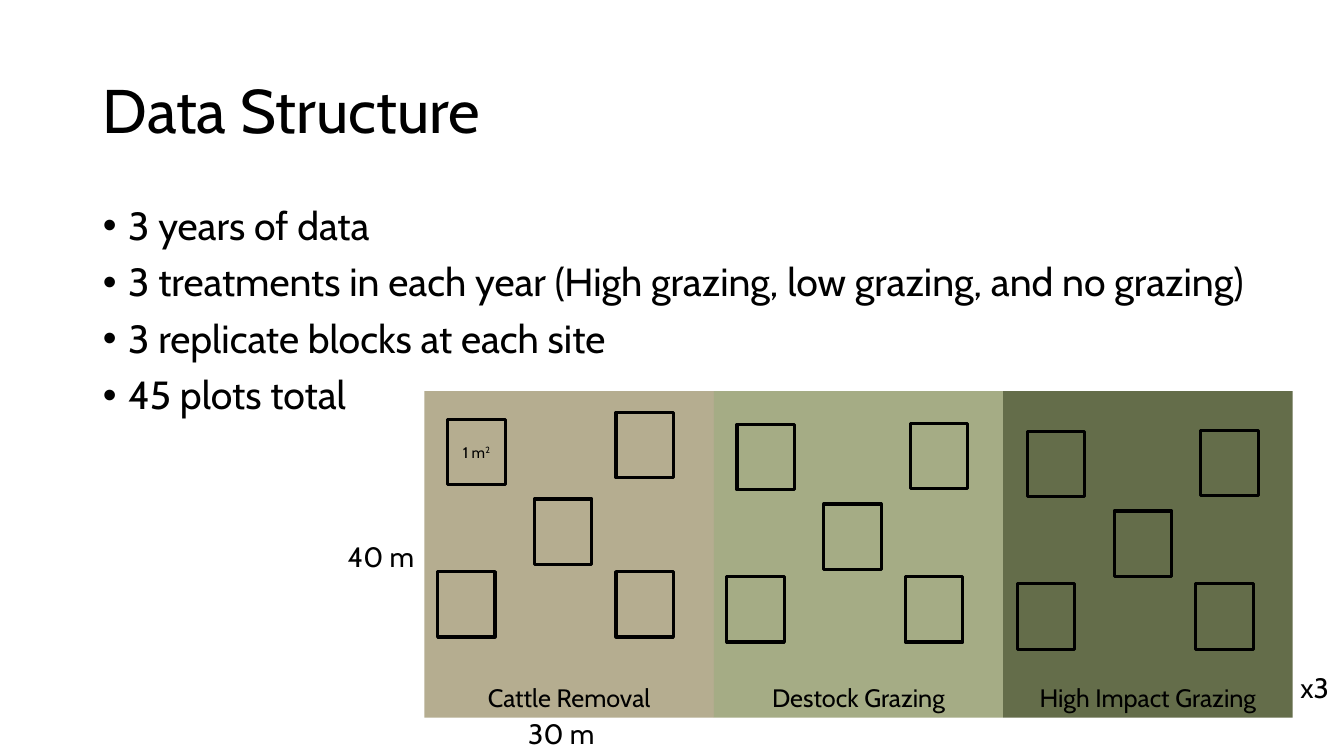
from dataclasses import dataclass
from typing import Any

from pptx import Presentation
from pptx import util as u
from pptx.dml import color
from pptx.enum import shapes, text


@dataclass(frozen=True)
class Theme:
    font: str = "Cabin"
    ink: str = "000000"
    tan: str = "B5AD90"
    sage: str = "A5AC85"
    olive: str = "646D4A"
    title: float = 44
    body: float = 28
    label: float = 20
    panel: float = 18
    plot: float = 11
    outline: float = 2.25


@dataclass(frozen=True)
class Treatment:
    name: str
    fill: str
    first_plot: tuple[float, float]
    upper_right: tuple[float, float] = (1.72, -0.01)


@dataclass(frozen=True)
class Label:
    words: str
    left: float
    top: float
    width: float


THEME = Theme()
PANEL_LEFT, PANEL_TOP, PANEL_WIDTH, PANEL_HEIGHT = 4.21, 3.88, 2.87, 3.24
PLOT_WIDTH, PLOT_HEIGHT = 0.57, 0.65
SHARED_OFFSETS = [(0, 0), (-0.1, 1.51), (0.86, 0.79), (1.67, 1.51)]

TREATMENTS = [
    Treatment("Cattle Removal", THEME.tan, (4.44, 4.16), (1.67, -0.07)),
    Treatment("Destock Grazing", THEME.sage, (7.31, 4.21)),
    Treatment("High Impact Grazing", THEME.olive, (10.19, 4.28)),
]
LABELS = [
    Label("30 m", 5.14, 7.06, 0.89),
    Label("40 m", 3.35, 5.3, 0.89),
    Label("x3", 12.8, 6.6, 0.53),
]
FACTS = [
    "3 years of data",
    "3 treatments in each year (High grazing, low grazing, and no grazing)",
    "3 replicate blocks at each site",
    "45 plots total",
]


def apply(target: Any, values: dict[str, Any]) -> None:
    for name, value in values.items():
        setattr(target, name, value)


def place(shape: Any, left: float, top: float, width: float, height: float) -> None:
    apply(shape, {"left": u.Inches(left), "top": u.Inches(top),
                  "width": u.Inches(width), "height": u.Inches(height)})


def write(para: Any, words: str, size: float) -> Any:
    span = para.add_run()
    span.text = words
    apply(span.font, {"name": THEME.font, "size": u.Pt(size)})
    span.font.color.rgb = color.RGBColor.from_string(THEME.ink)
    return span


def add_rectangle(page: Any, left: float, top: float, width: float, height: float) -> Any:
    box = page.shapes.add_shape(shapes.MSO_SHAPE.RECTANGLE, u.Inches(left),
                                u.Inches(top), u.Inches(width), u.Inches(height))
    box.shadow.inherit = False
    return box


def add_title(page: Any) -> None:
    box = page.shapes.title
    place(box, 0.92, 0.4, 11.5, 1.45)
    apply(box.text_frame, {"vertical_anchor": text.MSO_ANCHOR.MIDDLE,
                           "auto_size": text.MSO_AUTO_SIZE.NONE})
    para = box.text_frame.paragraphs[0]
    apply(para, {"alignment": text.PP_ALIGN.LEFT, "line_spacing": 0.9})
    write(para, "Data Structure", THEME.title)


def add_facts(page: Any) -> None:
    box = page.placeholders[1]
    place(box, 0.92, 2, 12.09, 4.76)
    frame = box.text_frame
    frame.auto_size = text.MSO_AUTO_SIZE.NONE
    for index, fact in enumerate(FACTS):
        para = frame.add_paragraph() if index else frame.paragraphs[0]
        apply(para, {"line_spacing": 0.9, "space_before": u.Pt(10)})
        indents = para._p.get_or_add_pPr()
        indents.set("marL", str(u.Inches(0.25)))
        indents.set("indent", str(u.Inches(-0.25)))
        write(para, fact, THEME.body)


def add_panel(page: Any, treatment: Treatment, left: float) -> None:
    panel = add_rectangle(page, left, PANEL_TOP, PANEL_WIDTH, PANEL_HEIGHT)
    panel.fill.solid()
    panel.fill.fore_color.rgb = color.RGBColor.from_string(treatment.fill)
    panel.line.fill.background()
    panel.text_frame.vertical_anchor = text.MSO_ANCHOR.BOTTOM
    write(panel.text_frame.paragraphs[0], treatment.name, THEME.panel)


def add_plots(page: Any, treatment: Treatment) -> list[Any]:
    left, top = treatment.first_plot
    plots = []
    for across, down in [*SHARED_OFFSETS, treatment.upper_right]:
        plot = add_rectangle(page, left + across, top + down, PLOT_WIDTH, PLOT_HEIGHT)
        plot.fill.background()
        plot.line.color.rgb = color.RGBColor.from_string(THEME.ink)
        plot.line.width = u.Pt(THEME.outline)
        plots.append(plot)
    return plots


def add_plot_area(plot: Any) -> None:
    para = plot.text_frame.paragraphs[0]
    write(para, "1 m", THEME.plot)
    exponent = write(para, "2", THEME.plot)
    exponent._r.get_or_add_rPr().set("baseline", "30000")


def add_label(page: Any, label: Label) -> None:
    box = page.shapes.add_textbox(u.Inches(label.left), u.Inches(label.top),
                                  u.Inches(label.width), u.Inches(0.57))
    apply(box.text_frame, {"word_wrap": False,
                           "auto_size": text.MSO_AUTO_SIZE.SHAPE_TO_FIT_TEXT})
    write(box.text_frame.paragraphs[0], label.words, THEME.label)


def main() -> None:
    deck = Presentation()
    apply(deck, {"slide_width": u.Inches(13.33), "slide_height": u.Inches(7.5)})
    page = deck.slides.add_slide(deck.slide_layouts[1])
    add_title(page)
    add_facts(page)
    plots = []
    for index, treatment in enumerate(TREATMENTS):
        add_panel(page, treatment, PANEL_LEFT + index * PANEL_WIDTH)
        plots += add_plots(page, treatment)
    add_plot_area(plots[0])
    for label in LABELS:
        add_label(page, label)
    deck.save("out.pptx")


if __name__ == "__main__":
    main()
